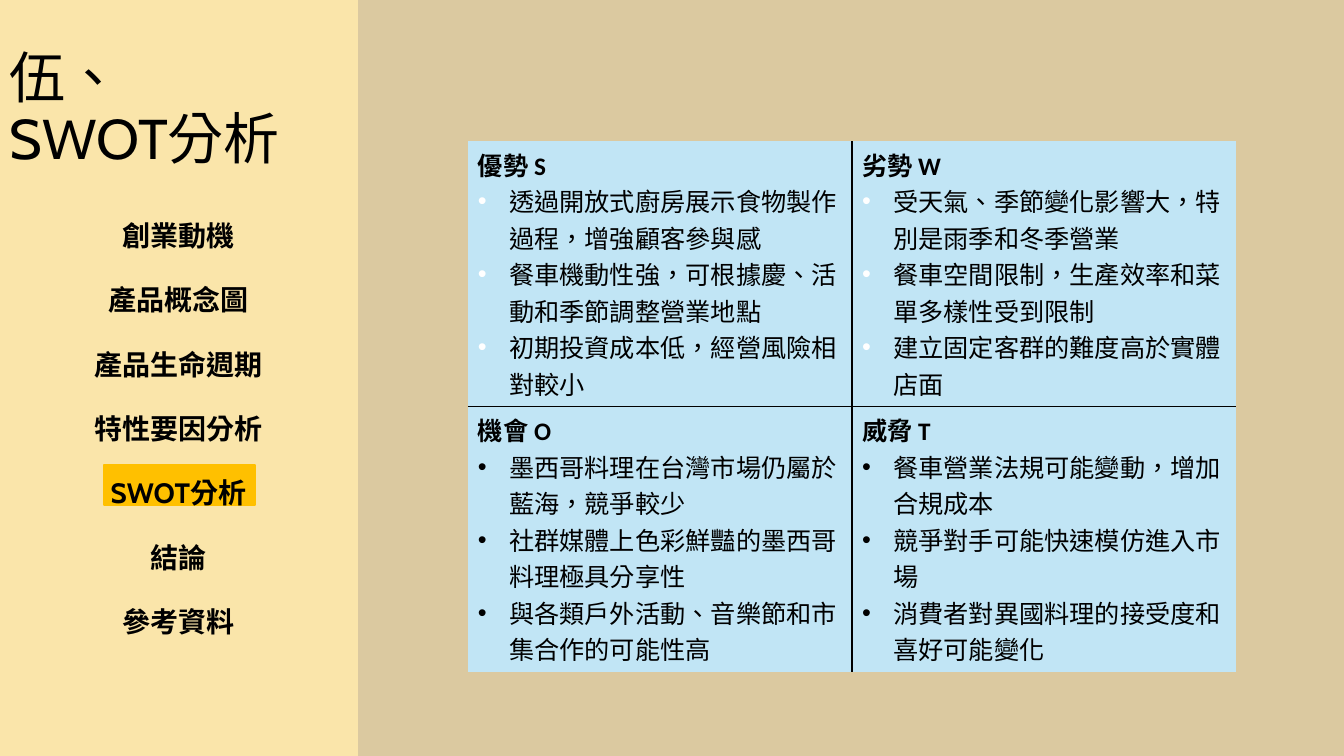
from lxml import etree
from pptx import Presentation
from pptx import util as u
from pptx.dml.color import RGBColor
from pptx.enum import shapes, text
from pptx.oxml import ns

BLACK = "000000"
TITLE = "伍、\vSWOT分析"
AGENDA = ["創業動機", "產品概念圖", "產品生命週期", "特性要因分析",
          "SWOT分析", "結論", "參考資料"]
# Each quadrant: heading, then its points
SWOT = [
    [("優勢 S", ["透過開放式廚房展示食物製作過程，增強顧客參與感",
               "餐車機動性強，可根據慶、活動和季節調整營業地點",
               "初期投資成本低，經營風險相對較小"]),
     ("劣勢 W", ["受天氣、季節變化影響大，特別是雨季和冬季營業",
               "餐車空間限制，生產效率和菜單多樣性受到限制",
               "建立固定客群的難度高於實體店面"])],
    [("機會 O", ["墨西哥料理在台灣市場仍屬於藍海，競爭較少",
               "社群媒體上色彩鮮豔的墨西哥料理極具分享性",
               "與各類戶外活動、音樂節和市集合作的可能性高"]),
     ("威脅 T", ["餐車營業法規可能變動，增加合規成本",
               "競爭對手可能快速模仿進入市場",
               "消費者對異國料理的接受度和喜好可能變化"])],
]
BULLET_COLORS = ["FFFFFF", BLACK]  # one per table row


def rgb(value):
    return RGBColor.from_string(value)


def set_attrs(obj, values):
    for name, value in values.items():
        setattr(obj, name, value)


def box(values):
    return [u.Inches(v) for v in values]


def add_rect(s, at, fill):
    sp = s.shapes.add_shape(shapes.MSO_SHAPE.RECTANGLE, *box(at))
    sp.shadow.inherit = False
    sp.fill.solid()
    sp.fill.fore_color.rgb = rgb(fill)
    sp.line.fill.background()
    return sp


def write(tf, lines, font, para):
    """Fill a text frame, one paragraph a line."""
    for i, line in enumerate(lines):
        p = tf.paragraphs[0] if i == 0 else tf.add_paragraph()
        set_attrs(p, para)
        if i == 0:
            p.space_before = u.Pt(0)
        p.text = line
        for r in p.runs:
            r._r.get_or_add_rPr().set("lang", "zh-TW")
            set_attrs(r.font, font)
            r.font.color.rgb = rgb(BLACK)


def add_text(s, at, lines, font, para, anchor):
    tf = s.shapes.add_textbox(*box(at)).text_frame
    set_attrs(tf, {"word_wrap": True, "vertical_anchor": anchor})
    write(tf, lines, font, para)


def add_bullet(p, color):
    pPr = p._p.get_or_add_pPr()
    indent = u.Inches(0.31)
    pPr.set("marL", str(indent))
    pPr.set("indent", str(-indent))
    clr = etree.SubElement(pPr, ns.qn("a:buClr"))
    etree.SubElement(clr, ns.qn("a:srgbClr")).set("val", color)
    etree.SubElement(pPr, ns.qn("a:buFont")).set("typeface", "Arial")
    etree.SubElement(pPr, ns.qn("a:buChar")).set("char", "•")


def set_borders(cell, drawn):
    """Draw the named sides in black and hide the others."""
    tcPr = cell._tc.get_or_add_tcPr()
    for side in "LRTB":
        ln = etree.SubElement(tcPr, ns.qn("a:ln" + side))
        ln.set("w", str(u.Pt(1)))
        if side in drawn:
            fill = etree.SubElement(ln, ns.qn("a:solidFill"))
            etree.SubElement(fill, ns.qn("a:srgbClr")).set("val", BLACK)
        else:
            etree.SubElement(ln, ns.qn("a:noFill"))


def add_swot_table(s, at):
    table = s.shapes.add_table(2, 2, *box(at)).table
    set_attrs(table, {"first_row": False, "horz_banding": False})
    for row, quadrants in enumerate(SWOT):
        for col, (heading, points) in enumerate(quadrants):
            cell = table.cell(row, col)
            set_borders(cell, "RL"[col] + "BT"[row])
            cell.fill.solid()
            cell.fill.fore_color.rgb = rgb("C1E5F5")
            tf = cell.text_frame
            write(tf, [heading] + points,
                  {"name": "Calibri", "size": u.Pt(18), "bold": False}, {})
            tf.paragraphs[0].runs[0].font.bold = True
            for p in tf.paragraphs[1:]:
                add_bullet(p, BULLET_COLORS[row])


def main():
    prs = Presentation()
    set_attrs(prs, {"slide_width": u.Inches(13.33),
                    "slide_height": u.Inches(7.5)})
    s = prs.slides.add_slide(prs.slide_layouts[6])
    s.background.fill.solid()
    s.background.fill.fore_color.rgb = rgb("DBC9A0")

    # Side panel and marker of the current section
    add_rect(s, (0, 0, 3.55, 7.5), "FAE5AA")
    marker = add_rect(s, (1.03, 4.61, 1.5, 0.4), "FFC000")
    marker.line.color.rgb = rgb("FFC000")
    marker.line.width = u.Pt(1.5)

    # Title and agenda
    add_text(s, (0, 0, 3.55, 1.75), [TITLE],
             {"name": "Cabin", "size": u.Pt(40)},
             {"line_spacing": 0.9}, text.MSO_ANCHOR.BOTTOM)
    add_text(s, (0.7, 1.95, 2.14, 4.45), AGENDA,
             {"name": "Cabin", "size": u.Pt(20), "bold": True},
             {"alignment": text.PP_ALIGN.CENTER, "line_spacing": 1.5,
              "space_before": u.Pt(10)}, text.MSO_ANCHOR.TOP)

    # SWOT grid, with rows tall enough for seven lines
    add_swot_table(s, (4.64, 1.4, 7.62, 5.27))
    prs.save("out.pptx")


if __name__ == "__main__":
    main()
